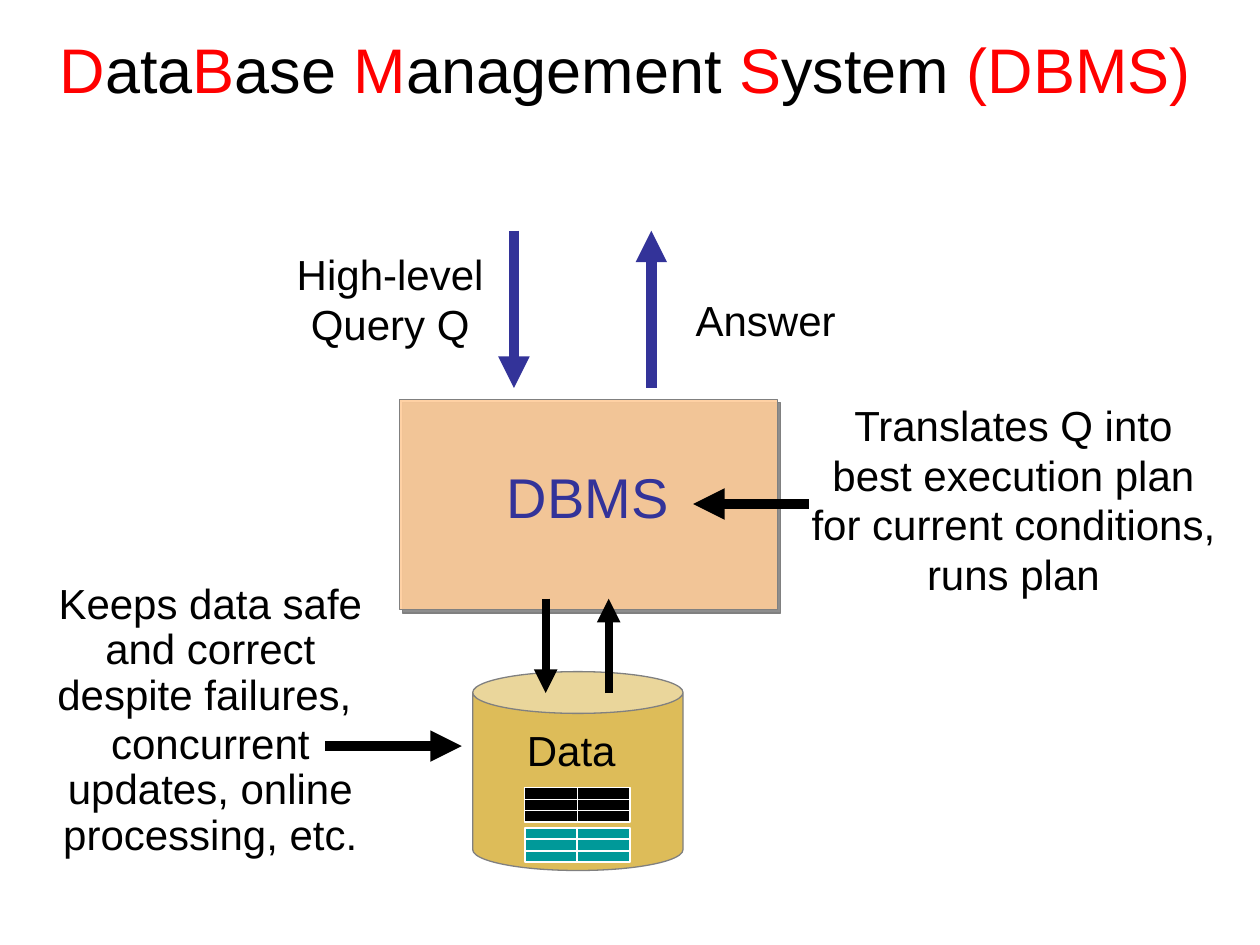
from lxml import etree
from pptx import Presentation
from pptx.dml.color import RGBColor
from pptx.enum import shapes, text
from pptx.oxml import ns
from pptx.util import Cm, Pt

FONT = "Arial"
BLACK, WHITE, RED, BLUE, GREY = "000000", "FFFFFF", "FF0000", "333399", "808080"

TITLE = [("D", RED), ("ata", BLACK), ("B", RED), ("ase ", BLACK), ("M", RED),
         ("anagement ", BLACK), ("S", RED), ("ystem ", BLACK), ("(DBMS)", RED)]

# left, top, width, height in cm; paragraphs; size; colour; tight spacing; wrap
LABELS = [
    ((5.72, 4.88, 4.29, 2.29), ["High-level", "Query Q"], 24, BLACK, False, False),
    ((9.96, 9.35, 3.78, 1.47), ["DBMS"], 32, BLUE, True, False),
    ((10.36, 14.6, 2.31, 1.17), ["Data"], 24, BLACK, True, False),
    ((13.77, 5.92, 3.33, 1.17), ["Answer"], 24, BLACK, True, False),
    ((16.1, 8.05, 8.66, 4.22),
     ["Translates Q into", "best execution plan", "for current conditions,", "runs plan"],
     24, BLACK, True, False),
    ((0.43, 11.63, 7.62, 5.84),
     ["Keeps data safe and correct despite failures, ",
      "concurrent updates, online processing, etc."], 24, BLACK, True, True),
]

# start, end, colour, line width; the head is at the end
ARROWS = [
    ((10.36, 4.65), (10.36, 7.82), BLUE, 6),
    ((13.13, 7.82), (13.13, 4.65), BLUE, 6),
    ((16.3, 10.16), (13.97, 10.16), BLACK, 6),
    ((6.56, 15.04), (9.31, 15.04), BLACK, 6),
    ((11, 12.07), (11, 13.97), BLACK, 4.5),
    ((12.27, 13.97), (12.27, 12.07), BLACK, 4.5),
]

# top, fill, line width
DATA_GRIDS = [(15.88, BLACK, 0.75), (16.69, "009999", 1)]
GRID_LEFT, CELL_WIDTH, GRID_HEIGHT = 10.58, 1.06, 0.69
GRID_COLUMNS, GRID_ROWS = 2, 3


def colour(value):
    return RGBColor.from_string(value)


def add_element(parent, tag, **attributes):
    element = etree.SubElement(parent, ns.qn(tag))
    for name, value in attributes.items():
        element.set(name, str(value))
    return element


def add_box(slide, kind, place, fill, line, width, opacity=100):
    shape = slide.shapes.add_shape(kind, *map(Cm, place))
    shape.shadow.inherit = False
    shape.fill.solid()
    shape.fill.fore_color.rgb = colour(fill)
    shape.line.color.rgb = colour(line)
    shape.line.width = Pt(width)
    if opacity < 100:
        fill_colour = shape.fill._xPr.find(".//" + ns.qn("a:srgbClr"))
        add_element(fill_colour, "a:alpha", val=opacity * 1000)
    return shape


def add_line(slide, start, end, line, width, arrow=False):
    connector = slide.shapes.add_connector(
        shapes.MSO_CONNECTOR.STRAIGHT, *map(Cm, start + end))
    connector.line.color.rgb = colour(line)
    connector.line.width = Pt(width)
    if arrow:
        add_element(connector.line._get_or_add_ln(), "a:tailEnd", type="triangle")
    add_element(connector._element.spPr, "a:effectLst")


def add_drop_shadow(shape):
    effects = shape._element.spPr.find(ns.qn("a:effectLst"))
    shadow = add_element(effects, "a:outerShdw", blurRad=0, dist=Pt(2.8),
                         dir=45 * 60000, algn="ctr", rotWithShape=0)
    add_element(shadow, "a:srgbClr", val=GREY)


def add_label(slide, place, lines, size, font_colour, tight, wrap):
    frame = slide.shapes.add_textbox(*map(Cm, place)).text_frame
    frame.word_wrap = wrap
    frame.auto_size = text.MSO_AUTO_SIZE.SHAPE_TO_FIT_TEXT
    frame.text = "\n".join(lines)
    for paragraph in frame.paragraphs:
        paragraph.alignment = text.PP_ALIGN.CENTER
        paragraph.font.name = FONT
        paragraph.font.size = Pt(size)
        paragraph.font.color.rgb = colour(font_colour)
        if tight:
            paragraph.line_spacing = 0.9
            paragraph.space_after = Pt(size * 0.1)


def add_data_grid(slide, top, fill, width):
    for column in range(GRID_COLUMNS):
        place = (GRID_LEFT + column * CELL_WIDTH, top, CELL_WIDTH, GRID_HEIGHT)
        add_box(slide, shapes.MSO_SHAPE.RECTANGLE, place, fill, WHITE, width)
    right = GRID_LEFT + GRID_COLUMNS * CELL_WIDTH
    for row in range(1, GRID_ROWS):
        y = top + row * GRID_HEIGHT / GRID_ROWS
        add_line(slide, (GRID_LEFT, y), (right, y), WHITE, width)


def add_title(slide):
    title = slide.shapes.title
    title.left, title.top, title.width, title.height = map(Cm, (0.64, 0.2, 23.93, 2.34))
    title.text_frame.vertical_anchor = text.MSO_ANCHOR.MIDDLE
    paragraph = title.text_frame.paragraphs[0]
    paragraph.alignment = text.PP_ALIGN.CENTER
    paragraph.font.name = FONT
    paragraph.font.size = Pt(36)
    for words, font_colour in TITLE:
        run = paragraph.add_run()
        run.text = words
        run.font.color.rgb = colour(font_colour)


def main():
    presentation = Presentation()
    presentation.slide_width, presentation.slide_height = Cm(25.4), Cm(19.05)
    slide = presentation.slides.add_slide(presentation.slide_layouts[5])
    add_title(slide)

    store = add_box(slide, shapes.MSO_SHAPE.CAN, (9.53, 13.54, 4.24, 4.01),
                    "CC9900", GREY, 0.75, opacity=65)
    store.adjustments[0] = 0.21
    system = add_box(slide, shapes.MSO_SHAPE.RECTANGLE, (8.05, 8.05, 7.62, 4.24),
                     "FFCC99", GREY, 0.75, opacity=89)
    add_drop_shadow(system)

    for label in LABELS:
        add_label(slide, *label)
    for grid in DATA_GRIDS:
        add_data_grid(slide, *grid)
    for arrow in ARROWS:
        add_line(slide, *arrow, arrow=True)

    presentation.save("out.pptx")


if __name__ == "__main__":
    main()
